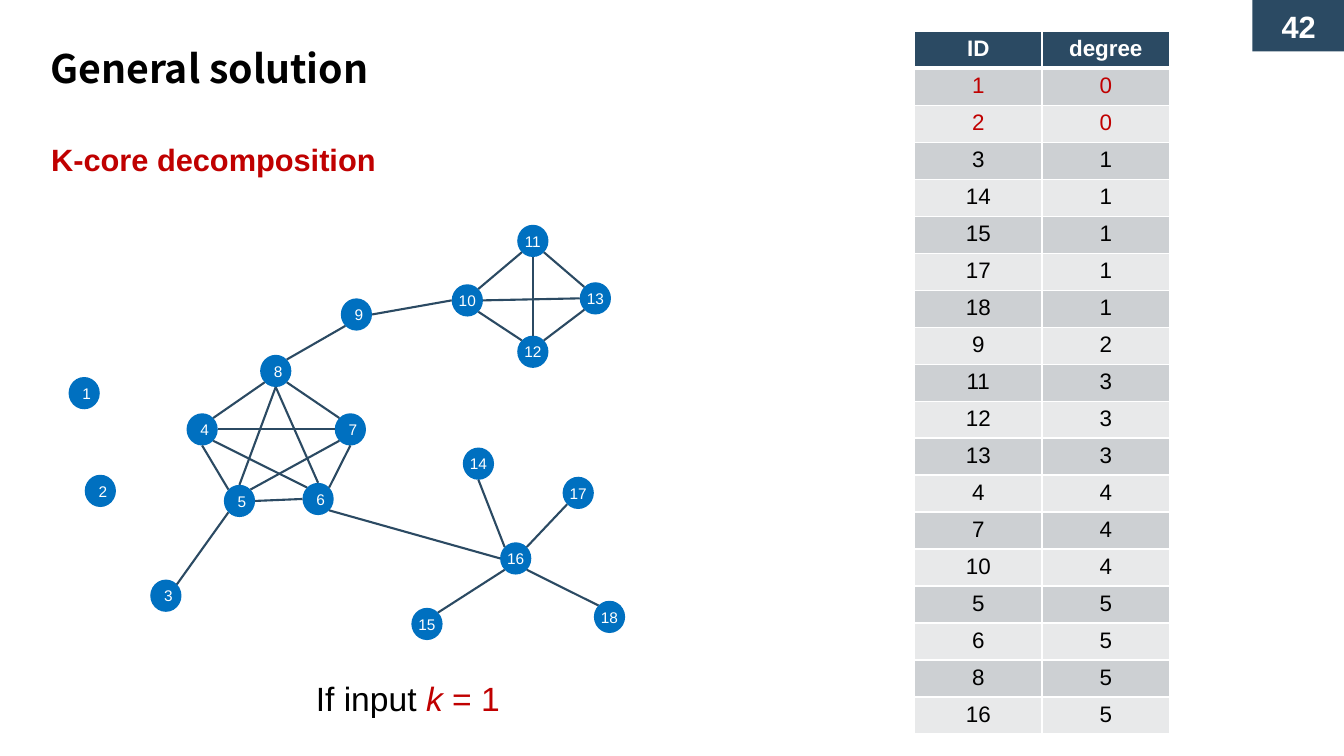
"""Build the slide on k-core decomposition with its graph and degree table."""
import dataclasses
import enum
import math
import typing

import lxml.etree
import pptx
import pptx.dml.color
import pptx.enum.shapes
import pptx.enum.text
import pptx.oxml.ns
import pptx.util

Inches = pptx.util.Inches
Pt = pptx.util.Pt
qn = pptx.oxml.ns.qn
DIAGONAL = math.sqrt(0.5)
NODE_WIDTH, NODE_HEIGHT = 0.31, 0.32


@dataclasses.dataclass(frozen=True)
class Theme:
    """Colours, fonts and type sizes of the slide."""
    navy: str = "2B4A63"
    blue: str = "0070C0"
    red: str = "C00000"
    black: str = "000000"
    white: str = "FFFFFF"
    bands: tuple[str, str] = ("CDD0D3", "E8E9EA")
    body_font: str = "Arial"
    title_font: str = "Noto Sans CJK SC"
    title: int = 28
    caption: int = 24
    heading: int = 22
    table: int = 16
    node: int = 11
    edge: float = 1.5


THEME = Theme()


class Site(enum.Enum):
    """Points on a node's rim as offsets in radii."""
    N = (0, -1)
    NE = (DIAGONAL, -DIAGONAL)
    E = (1, 0)
    SE = (DIAGONAL, DIAGONAL)
    S = (0, 1)
    SW = (-DIAGONAL, DIAGONAL)
    W = (-1, 0)
    NW = (-DIAGONAL, -DIAGONAL)


class Node(typing.NamedTuple):
    """A graph vertex and its top left corner."""
    number: int
    left: float
    top: float

    def rim(self, site: Site) -> tuple[int, int]:
        """Return the position of a point on the rim."""
        dx, dy = site.value
        return (Inches(self.left + NODE_WIDTH / 2 * (1 + dx)),
                Inches(self.top + NODE_HEIGHT / 2 * (1 + dy)))


class Edge(typing.NamedTuple):
    """A link between the rims of two nodes."""
    start: int
    start_site: Site
    end: int
    end_site: Site


class Run(typing.NamedTuple):
    """A piece of text in one style."""
    text: str
    size: int
    color: str
    bold: bool = False
    italic: bool = False
    font: str = THEME.body_font


NODES = [
    Node(1, 0.68, 3.74), Node(2, 0.84, 4.71), Node(3, 1.49, 5.75),
    Node(4, 1.85, 4.1), Node(5, 2.22, 4.81), Node(6, 3, 4.79),
    Node(7, 3.32, 4.1), Node(8, 2.58, 3.52), Node(9, 3.38, 2.96),
    Node(10, 4.48, 2.82), Node(11, 5.13, 2.23), Node(12, 5.13, 3.33),
    Node(13, 5.75, 2.8), Node(14, 4.59, 4.44), Node(15, 4.08, 6.03),
    Node(16, 4.96, 5.38), Node(17, 5.58, 4.73), Node(18, 5.89, 5.96),
]
EDGES = [
    Edge(4, Site.NE, 8, Site.SW), Edge(7, Site.NW, 8, Site.SE),
    Edge(5, Site.N, 8, Site.S), Edge(6, Site.N, 8, Site.S),
    Edge(6, Site.NW, 4, Site.SE), Edge(7, Site.W, 4, Site.E),
    Edge(7, Site.SW, 5, Site.NE), Edge(7, Site.S, 6, Site.NE),
    Edge(4, Site.S, 5, Site.NW), Edge(5, Site.E, 6, Site.W),
    Edge(11, Site.SW, 10, Site.NE), Edge(11, Site.SE, 13, Site.NW),
    Edge(11, Site.S, 12, Site.N), Edge(12, Site.NW, 10, Site.SE),
    Edge(13, Site.SW, 12, Site.NE), Edge(13, Site.W, 10, Site.E),
    Edge(10, Site.W, 9, Site.E), Edge(9, Site.SW, 8, Site.NE),
    Edge(16, Site.W, 6, Site.SE), Edge(16, Site.NW, 14, Site.S),
    Edge(16, Site.NE, 17, Site.SW), Edge(16, Site.SW, 15, Site.NE),
    Edge(18, Site.NW, 16, Site.SE), Edge(3, Site.NE, 5, Site.SW),
]
DEGREES = [
    (1, 0), (2, 0), (3, 1), (14, 1), (15, 1), (17, 1), (18, 1), (9, 2), (11, 3),
    (12, 3), (13, 3), (4, 4), (7, 4), (10, 4), (5, 5), (6, 5), (8, 5), (16, 5),
]


def rgb(color: str) -> pptx.dml.color.RGBColor:
    """Turn a hex string into a colour."""
    return pptx.dml.color.RGBColor.from_string(color)


def write(frame, runs: list[Run], centred: bool = True) -> None:
    """Fill the first paragraph of a text frame with runs."""
    paragraph = frame.paragraphs[0]
    align = pptx.enum.text.PP_ALIGN
    paragraph.alignment = align.CENTER if centred else align.LEFT
    for item in runs:
        run = paragraph.add_run()
        run.text = item.text
        run.font.name = item.font
        run.font.size = Pt(item.size)
        run.font.bold = item.bold
        run.font.italic = item.italic
        run.font.color.rgb = rgb(item.color)


def add_text(shapes, box: tuple[float, ...], runs: list[Run], centred: bool = False):
    """Add a wrapping text box and return its frame."""
    frame = shapes.add_textbox(*map(Inches, box)).text_frame
    frame.word_wrap = True
    write(frame, runs, centred)
    return frame


def add_solid(shapes, kind, box: tuple[float, ...], fill: str, run: Run):
    """Add a plain filled shape with centred text and return its frame."""
    solid = shapes.add_shape(kind, *map(Inches, box))
    solid.shadow.inherit = False
    solid.fill.solid()
    solid.fill.fore_color.rgb = rgb(fill)
    solid.line.fill.background()
    frame = solid.text_frame
    frame.vertical_anchor = pptx.enum.text.MSO_ANCHOR.MIDDLE
    write(frame, [run])
    return frame


def draw_graph(shapes) -> None:
    """Draw the nodes and edges as one group."""
    graph = shapes.add_group_shape().shapes
    for node in NODES:
        label = add_solid(graph, pptx.enum.shapes.MSO_SHAPE.OVAL,
                          (node.left, node.top, NODE_WIDTH, NODE_HEIGHT), THEME.blue,
                          Run(str(node.number), THEME.node, THEME.white))
        label.word_wrap = False
        label.margin_left = Inches(0.05 if node.number < 10 else 0)
        label.margin_right = label.margin_top = label.margin_bottom = 0
    by_number = {node.number: node for node in NODES}
    for edge in EDGES:
        link = graph.add_connector(pptx.enum.shapes.MSO_CONNECTOR.STRAIGHT,
                                   *by_number[edge.start].rim(edge.start_site),
                                   *by_number[edge.end].rim(edge.end_site))
        link.line.color.rgb = rgb(THEME.navy)
        link.line.width = Pt(THEME.edge)
        lxml.etree.SubElement(link._element.spPr, qn("a:effectLst"))


def set_borders(cell, top: int, bottom: int) -> None:
    """Give a cell white borders with the top and bottom widths in points."""
    properties = cell._tc.get_or_add_tcPr()
    for side, width in (("L", 1), ("R", 1), ("T", top), ("B", bottom)):
        border = lxml.etree.SubElement(properties, qn(f"a:ln{side}"), w=str(Pt(width)))
        fill = lxml.etree.SubElement(border, qn("a:solidFill"))
        lxml.etree.SubElement(fill, qn("a:srgbClr"), val=THEME.white)


def draw_degrees(shapes) -> None:
    """Draw the table of node degrees, with degree zero in red."""
    rows = [("ID", "degree"), *DEGREES]
    table = shapes.add_table(len(rows), 2, Inches(9.07), Inches(0.31),
                             Inches(2.53), Inches(6.97)).table
    for index, row in enumerate(rows):
        header = index == 0
        fill = THEME.navy if header else THEME.bands[(index - 1) % 2]
        color = THEME.white if header else THEME.red if row[1] == 0 else THEME.black
        for column, value in enumerate(row):
            cell = table.cell(index, column)
            set_borders(cell, 3 if index == 1 else 1, 3 if header else 1)
            cell.fill.solid()
            cell.fill.fore_color.rgb = rgb(fill)
            write(cell.text_frame, [Run(str(value), THEME.table, color, bold=header)])


def main() -> None:
    """Build and save the slide."""
    deck = pptx.Presentation()
    deck.slide_width, deck.slide_height = Inches(13.33), Inches(7.5)
    shapes = deck.slides.add_slide(deck.slide_layouts[6]).shapes
    add_solid(shapes, pptx.enum.shapes.MSO_SHAPE.RECTANGLE, (12.42, 0, 0.92, 0.51),
              THEME.navy, Run("42", THEME.heading, THEME.white, bold=True))
    title = add_text(shapes, (0.5, 0.42, 8.4, 0.48), [
        Run("General solution", THEME.title, THEME.black, bold=True, font=THEME.title_font)])
    title.margin_left = title.margin_right = title.margin_bottom = 0
    title.margin_top = Inches(0.02)
    add_text(shapes, (0.41, 1.35, 8.5, 0.47),
             [Run("K-core decomposition", THEME.heading, THEME.red, bold=True)])
    draw_graph(shapes)
    draw_degrees(shapes)
    add_text(shapes, (2.59, 6.68, 2.91, 0.5), [
        Run("If input ", THEME.caption, THEME.black),
        Run("k ", THEME.caption, THEME.red, italic=True),
        Run("= 1", THEME.caption, THEME.red)], centred=True)
    deck.save("out.pptx")


if __name__ == "__main__":
    main()
